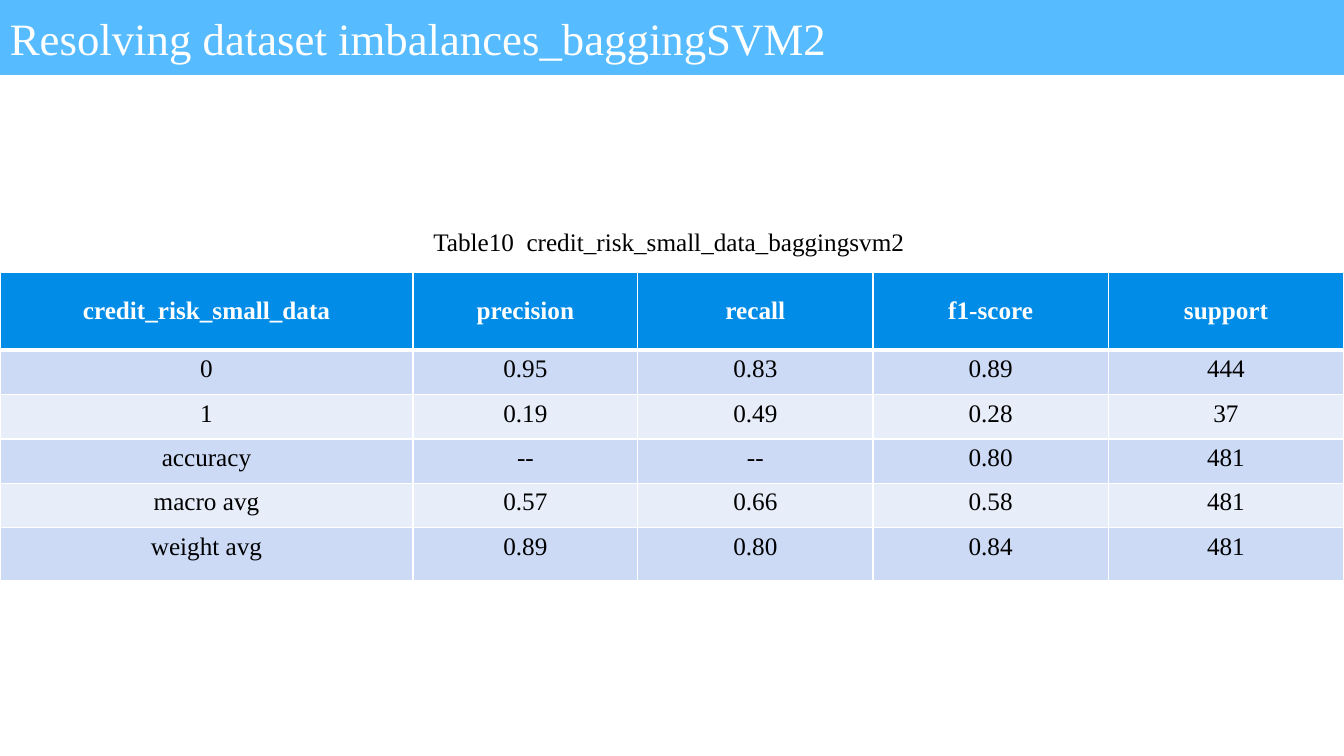
from lxml.etree import SubElement
from pptx import Presentation
from pptx.dml.color import RGBColor
from pptx.enum.shapes import MSO_SHAPE
from pptx.enum.text import MSO_ANCHOR, MSO_AUTO_SIZE, PP_ALIGN
from pptx.oxml.ns import qn
from pptx.util import Cm, Pt

FONT = "Times New Roman"
COLORS = {
    "banner": "57BBFF",
    "header": "008CE7",
    "band_dark": "CCDAF6",
    "band_light": "E7EEFA",
    "white": "FFFFFF",
    "black": "000000",
}
COLUMN_WIDTHS = [10.41, 5.66, 5.93, 5.93, 5.93]
ROW_HEIGHTS = [1.96, 1.12, 1.12, 1.12, 1.12, 1.32]
SCORES = [
    ["credit_risk_small_data", "precision", "recall", "f1-score", "support"],
    ["0", "0.95", "0.83", "0.89", "444"],
    ["1", "0.19", "0.49", "0.28", "37"],
    ["accuracy", "--", "--", "0.80", "481"],
    ["macro avg", "0.57", "0.66", "0.58", "481"],
    ["weight avg", "0.89", "0.80", "0.84", "481"],
]


def rgb(name):
    return RGBColor.from_string(COLORS[name])


def fill_solid(target, color):
    target.fill.solid()
    target.fill.fore_color.rgb = rgb(color)


def write_text(frame, text, size, color, align=PP_ALIGN.LEFT, bold=False):
    paragraph = frame.paragraphs[0]
    paragraph.alignment = align
    run = paragraph.add_run()
    run.text = text
    run.font.name = FONT
    run.font.size = Pt(size)
    run.font.bold = bold
    run.font.color.rgb = rgb(color)


def add_banner(slide, text, width):
    banner = slide.shapes.add_shape(MSO_SHAPE.RECTANGLE, 0, 0, width, Cm(1.87))
    banner.shadow.inherit = False
    fill_solid(banner, "banner")
    banner.line.color.rgb = rgb("banner")
    banner.line.width = Pt(1)
    banner.text_frame.vertical_anchor = MSO_ANCHOR.MIDDLE
    write_text(banner.text_frame, text, 32, "white")


def add_caption(slide, text):
    caption = slide.shapes.add_textbox(Cm(10.67), Cm(5.59), Cm(12.52), Cm(1.02))
    caption.text_frame.word_wrap = True
    caption.text_frame.auto_size = MSO_AUTO_SIZE.SHAPE_TO_FIT_TEXT
    write_text(caption.text_frame, text, 18, "black")


def set_borders(cell, widths):
    """Draw white borders; widths maps each side (L, R, T, B) to points."""
    properties = cell._tc.get_or_add_tcPr()
    for side, width in widths.items():
        line = SubElement(properties, qn(f"a:ln{side}"), w=str(Pt(width)))
        fill = SubElement(line, qn("a:solidFill"))
        SubElement(fill, qn("a:srgbClr"), val=COLORS["white"])


def format_cell(cell, text, row):
    is_header = row == 0
    set_borders(cell, {
        "L": 1,
        "R": 1,
        "T": 3 if row == 1 else 1,
        "B": 3 if is_header else 1,
    })
    if is_header:
        fill_solid(cell, "header")
        cell.vertical_anchor = MSO_ANCHOR.MIDDLE
    else:
        fill_solid(cell, "band_dark" if row % 2 else "band_light")
    write_text(cell.text_frame, text, 18, "white" if is_header else "black",
               PP_ALIGN.CENTER, is_header)


def add_score_table(slide):
    table = slide.shapes.add_table(
        len(SCORES), len(COLUMN_WIDTHS), 0, Cm(6.86),
        Cm(sum(COLUMN_WIDTHS)), Cm(sum(ROW_HEIGHTS))).table
    for column, width in zip(table.columns, COLUMN_WIDTHS):
        column.width = Cm(width)
    for row, height in zip(table.rows, ROW_HEIGHTS):
        row.height = Cm(height)
    for row, values in enumerate(SCORES):
        for column, text in enumerate(values):
            format_cell(table.cell(row, column), text, row)


def main():
    presentation = Presentation()
    presentation.slide_width = Cm(33.87)
    presentation.slide_height = Cm(19.05)
    slide = presentation.slides.add_slide(presentation.slide_layouts[6])
    add_banner(slide, "Resolving dataset imbalances_baggingSVM2",
               presentation.slide_width)
    add_score_table(slide)
    add_caption(slide, "Table10  credit_risk_small_data_baggingsvm2")
    presentation.save("out.pptx")


if __name__ == "__main__":
    main()
